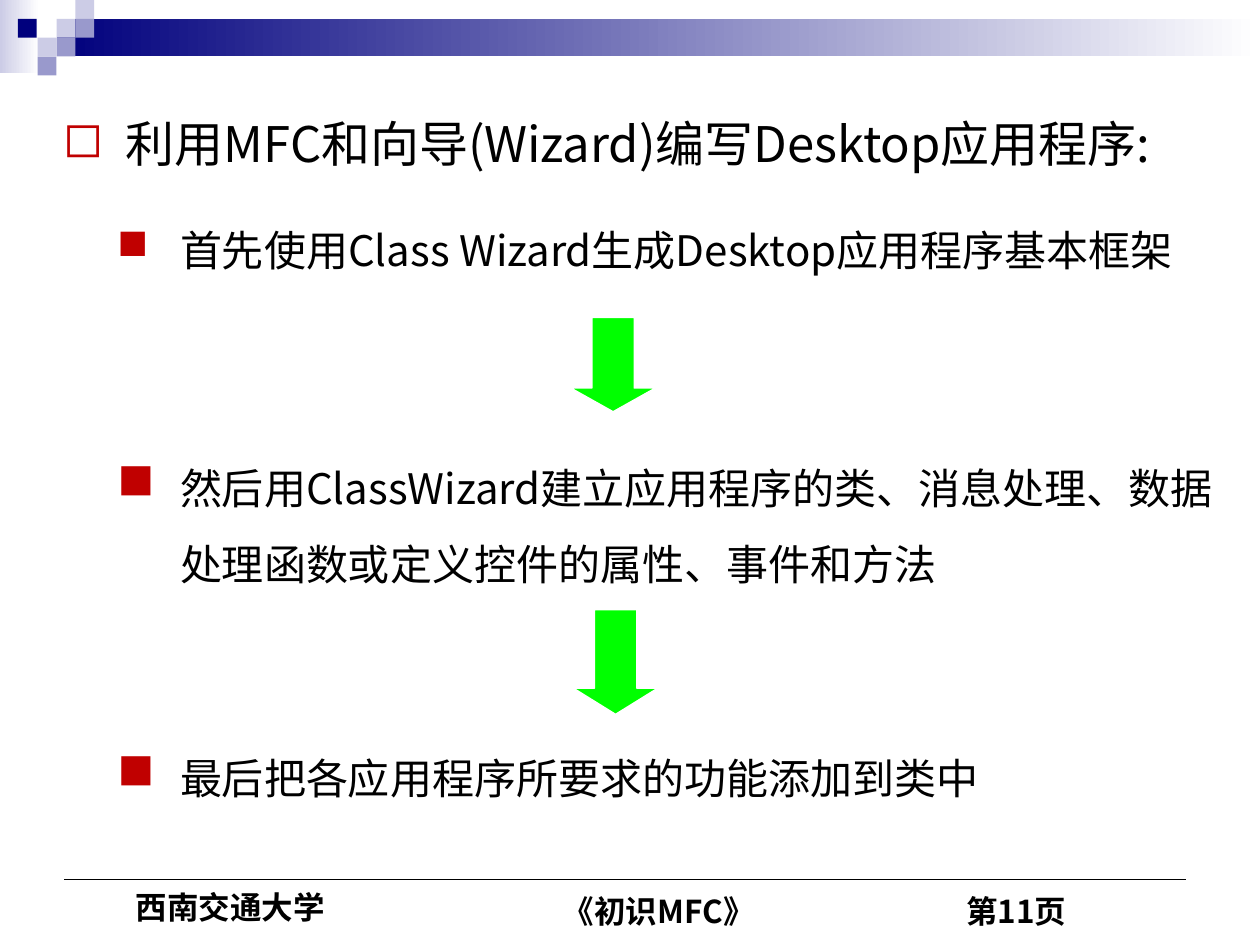
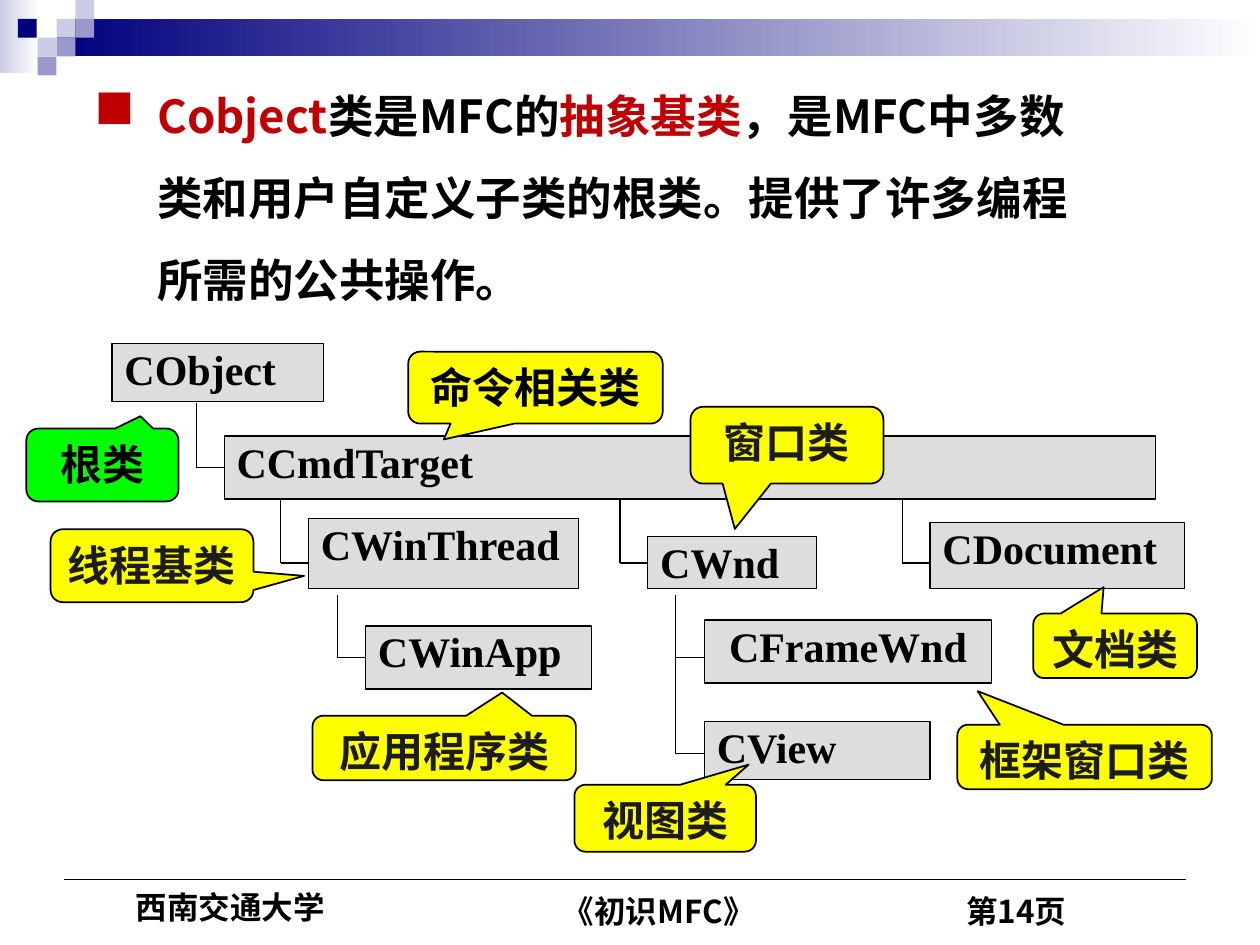
import pptx
import pptx.util
import pptx.dml.color
import pptx.enum.shapes
import pptx.enum.text
import pptx.oxml.ns
from lxml import etree

Cm, Pt = pptx.util.Cm, pptx.util.Pt
hue = pptx.dml.color.RGBColor.from_string
qn = pptx.oxml.ns.qn
Kind = pptx.enum.shapes.MSO_SHAPE
Align = pptx.enum.text.PP_ALIGN

BLACK, WHITE, NAVY = "000000", "FFFFFF", "00007D"
PALE, MID, RED = "CCCCE6", "9999CC", "C00000"
LIME, YELLOW, GREY, DARK = "00FF00", "FFFF00", "DDDDDD", "1C1C1C"
SANS, FOOT, SERIF = "Noto Sans CJK SC", "Noto Sans CJK JP", "Times New Roman"


def draw(slide, kind, place, fill, edge=None, width=0.75):
    """Add a preset shape; a tuple as fill gives a gradient."""
    shape = slide.shapes.add_shape(kind, *map(Cm, place))
    shape.shadow.inherit = False
    if isinstance(fill, tuple):
        shape.fill.gradient()
        shape.fill.gradient_angle = 0
        for stop, tone in zip(shape.fill.gradient_stops, fill):
            stop.color.rgb = hue(tone)
    else:
        shape.fill.solid()
        shape.fill.fore_color.rgb = hue(fill)
    if edge:
        shape.line.color.rgb = hue(edge)
        shape.line.width = Pt(width)
    else:
        shape.line.fill.background()
    return shape


def write(shape, parts, size, face=SANS, bold=True, lead=1.2,
          align=Align.LEFT, wrap=True, pad=0.13, mark=None, scale=100):
    """Fill a shape with one paragraph of (text, colour) runs."""
    frame = shape.text_frame
    frame.word_wrap = wrap
    frame.vertical_anchor = pptx.enum.text.MSO_ANCHOR.TOP
    frame.margin_left = frame.margin_right = Cm(0.25)
    frame.margin_top = frame.margin_bottom = Cm(pad)
    para = frame.paragraphs[0]
    para.alignment = align
    para.line_spacing = Pt(round(size * lead, 1))
    if mark:
        props = para._p.get_or_add_pPr()
        props.set("marL", str(Cm(1.27)))
        props.set("indent", str(-Cm(1.27)))
        tint = etree.SubElement(props, qn("a:buClr"))
        etree.SubElement(tint, qn("a:srgbClr"), val=RED)
        etree.SubElement(props, qn("a:buSzPct"), val=str(scale * 1000))
        etree.SubElement(props, qn("a:buChar"), char=mark)
    for text, tone in parts:
        run = para.add_run()
        run.text = text
        run.font.size = Pt(size)
        run.font.bold = bold
        run.font.color.rgb = hue(tone)
        run.font.name = face
        etree.SubElement(run._r.get_or_add_rPr(), qn("a:ea"), typeface=face)


deck = pptx.Presentation()
deck.slide_width, deck.slide_height = Cm(25.4), Cm(19.05)
blank = deck.slide_layouts[6]

# Class tree: stem x, stem top, heights of its twigs
stems = [
    (3.96, 8.13, [9.42]),
    (5.66, 10.06, [11.35]),
    (6.81, 11.99, [13.26]),
    (12.5, 10.06, [11.35]),
    (13.62, 11.99, [13.26, 15.19]),
    (18.19, 10.06, [11.35]),
]
twigs = []
for x, top, ends in stems:
    twigs.append((x, top, x, ends[-1], 0.75))
    twigs += [(x, y, x + 0.57, y, 0.75) for y in ends]

# Shared band, footer and lines
side = 0.38
cells = [(1.18, 0, PALE), (1.58, 0, PALE)]
cells = [
    (3, 1, PALE), (4, 0, PALE), (4, 1, MID), (2, 2, PALE),
    (0.95, 1, NAVY), (3, 2, MID), (2, 3, MID),
]
rule = (1.3, 17.73, 23.9, 17.73, 1)
for page, lines in ((11, [rule]), (14, [rule] + twigs)):
    slide = deck.slides.add_slide(blank)
    draw(slide, Kind.RECTANGLE, (0, 0, 0.79, 1.47), (PALE, WHITE))
    draw(slide, Kind.RECTANGLE, (1.14, 0.38, 24.26, 0.76), (NAVY, WHITE))
    for col, row, tone in cells:
        draw(slide, Kind.RECTANGLE, (col * side, row * side, side, side), tone)
    for text, place, wrap in (
        ("西南交通大学", (2.49, 17.78, 5.99, 1.27), True),
        ("《初识MFC》", (11.1, 17.86, 8.81, 1.19), True),
        (f"第{page}页", (19.23, 17.86, 5.16, 1.17), False),
    ):
        box = slide.shapes.add_textbox(*map(Cm, place))
        write(box, [(text, BLACK)], 18, FOOT, wrap=wrap)
    for x1, y1, x2, y2, width in lines:
        line = slide.shapes.add_connector(
            pptx.enum.shapes.MSO_CONNECTOR.STRAIGHT, *map(Cm, (x1, y1, x2, y2)))
        line.line.color.rgb = hue(BLACK)
        line.line.width = Pt(width)
        etree.SubElement(line._element.spPr, qn("a:effectLst"))

steps, tree = deck.slides

# Steps
for text, place, size, lead, mark, scale in (
    ("利用MFC和向导(Wizard)编写Desktop应用程序:",
     (1.02, 2.16, 22.43, 2.64), 28, 1.2, "◻", 100),
    ("首先使用Class Wizard生成Desktop应用程序基本框架",
     (2.11, 4.39, 22.68, 2.29), 24, 1.2, "■", 100),
    ("然后用ClassWizard建立应用程序的类、消息处理、数据处理函数或定义控件的属性、事件和方法",
     (2.11, 8.69, 22.68, 3.3), 24, 1.8, "■", 120),
    ("最后把各应用程序所要求的功能添加到类中",
     (2.11, 15.04, 22.68, 1.27), 24, 1.2, "■", 120),
):
    box = steps.shapes.add_textbox(*map(Cm, place))
    write(box, [(text, BLACK)], size, bold=False, lead=lead, mark=mark, scale=scale)

for place, head in (((11.51, 6.4, 1.7, 1.9), 0.28), ((11.56, 12.29, 1.7, 2.11), 0.31)):
    arrow = draw(steps, Kind.DOWN_ARROW, place, LIME, WHITE)
    arrow.adjustments[0] = 0.5
    arrow.adjustments[1] = head

# Class boxes
for name, place, align in (
    ("CObject", (2.26, 6.93, 4.27, 1.17), Align.JUSTIFY),
    ("CCmdTarget", (4.52, 8.79, 18.77, 1.27), Align.JUSTIFY),
    ("CWinThread", (6.22, 10.46, 5.44, 1.4), Align.JUSTIFY),
    ("CWinApp", (7.37, 12.62, 4.55, 1.27), Align.JUSTIFY),
    ("CWnd", (13.06, 10.82, 3.4, 1.04), Align.JUSTIFY),
    ("CFrameWnd", (14.2, 12.5, 5.79, 1.27), Align.CENTER),
    ("CView", (14.2, 14.55, 4.55, 1.17), Align.JUSTIFY),
    ("CDocument", (18.75, 10.54, 5.13, 1.32), Align.JUSTIFY),
):
    box = draw(tree, Kind.RECTANGLE, place, GREY, BLACK)
    write(box, [(name, BLACK)], 24, SERIF, align=align, pad=0)

# Callouts: label, place, tip, fill, text colour
for label, place, tip, fill, tone in (
    ("根类", (0.53, 8.64, 3.07, 1.47), (0.25, -0.67), LIME, BLACK),
    ("命令相关类", (8.23, 7.09, 5.13, 1.45), (-0.36, 0.72), YELLOW, BLACK),
    ("应用程序类", (6.3, 14.43, 5.31, 1.3), (0.22, -0.86), YELLOW, DARK),
    ("窗口类", (13.92, 8.2, 3.89, 1.55), (-0.27, 1.09), YELLOW, DARK),
    ("文档类", (20.83, 12.37, 3.3, 1.3), (-0.07, -0.91), YELLOW, DARK),
    ("视图类", (11.58, 15.82, 3.66, 1.35), (0.46, -0.8), YELLOW, DARK),
    ("框架窗口类", (19.3, 14.61, 5.13, 1.3), (-0.42, -1.02), YELLOW, DARK),
    ("线程基类", (1.02, 10.67, 4.09, 1.47), (0.75, 0.14), YELLOW, DARK),
):
    note = draw(tree, Kind.ROUNDED_RECTANGULAR_CALLOUT, place, fill, BLACK, 1)
    note.adjustments[0], note.adjustments[1] = tip
    write(note, [(label, tone)], 24, align=Align.CENTER)

box = tree.shapes.add_textbox(*map(Cm, (1.65, 1.09, 20.85, 5.21)))
write(box, [
    ("Cobject", RED),
    ("类是MFC的", BLACK),
    ("抽象基类", RED),
    ("，是MFC中多数类和用户自定义子类的根类。提供了许多编程所需的公共操作。", BLACK),
], 26, lead=1.8, mark="■", scale=120)

deck.save("out.pptx")
